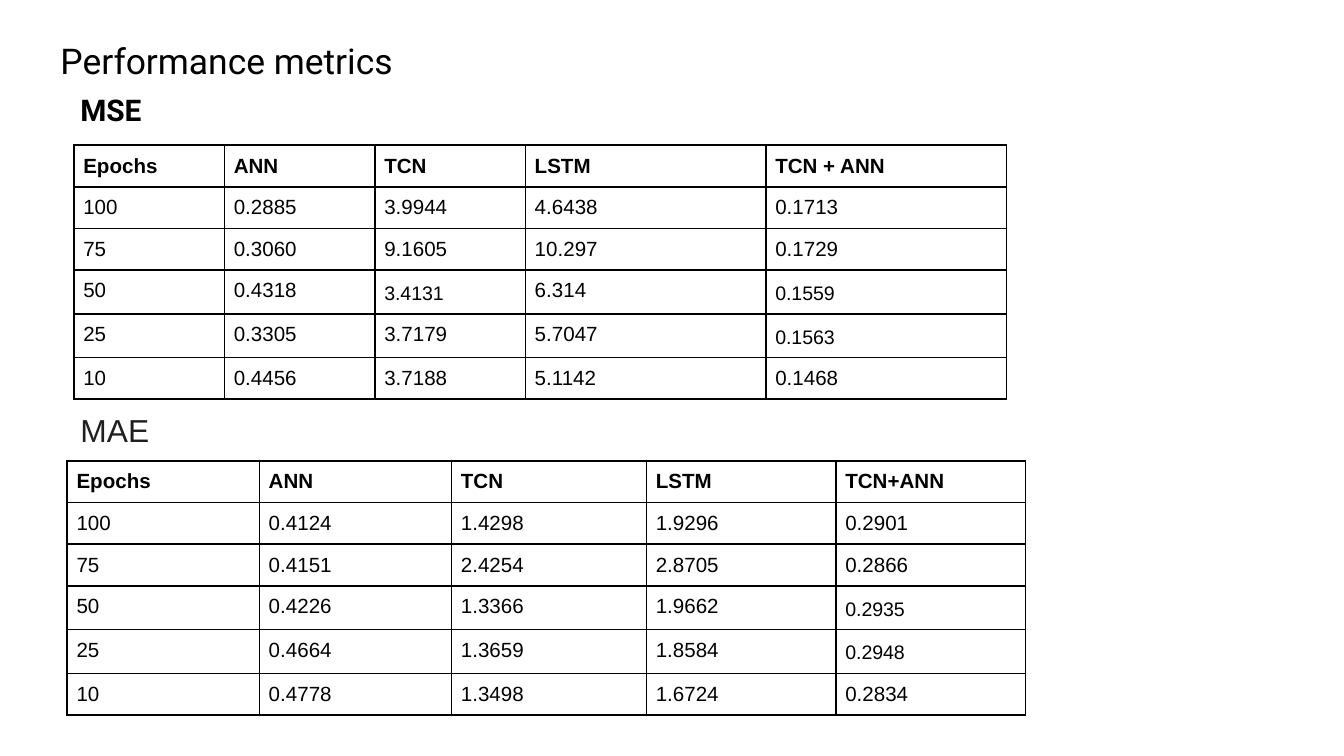
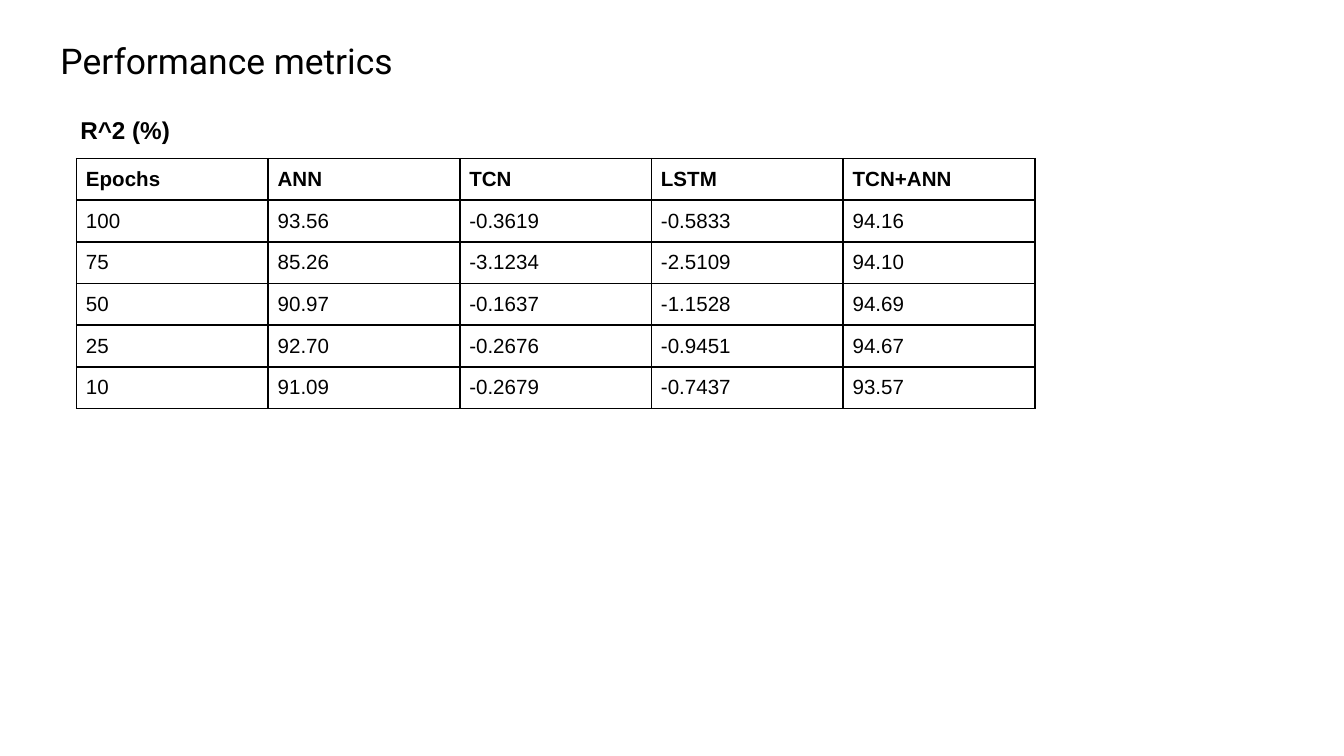
from lxml import etree
from pptx import Presentation
from pptx.dml.color import RGBColor
from pptx.enum import text
from pptx.oxml import ns
from pptx.util import Inches, Pt

BLACK = RGBColor(0x00, 0x00, 0x00)
CHARCOAL = RGBColor(0x1F, 0x1F, 0x1F)
WHITE = RGBColor(0xFF, 0xFF, 0xFF)
TITLE_FONT = "Roboto"
BODY_FONT = "Arial"
TITLE_BOX = (0.35, 0.19, 6.57, 0.64)
ROW_HEIGHTS = [0.16] + [0.23] * 5
EPOCHS = ["100", "75", "50", "25", "10"]

MSE_VALUES = {
    "ANN": ["0.2885", "0.3060", "0.4318", "0.3305", "0.4456"],
    "TCN": ["3.9944", "9.1605", "3.4131", "3.7179", "3.7188"],
    "LSTM": ["4.6438", "10.297", "6.314", "5.7047", "5.1142"],
    "TCN + ANN": ["0.1713", "0.1729", "0.1559", "0.1563", "0.1468"],
}
MAE_VALUES = {
    "ANN": ["0.4124", "0.4151", "0.4226", "0.4664", "0.4778"],
    "TCN": ["1.4298", "2.4254", "1.3366", "1.3659", "1.3498"],
    "LSTM": ["1.9296", "2.8705", "1.9662", "1.8584", "1.6724"],
    "TCN+ANN": ["0.2901", "0.2866", "0.2935", "0.2948", "0.2834"],
}
R2_VALUES = {
    "ANN": ["93.56", "85.26", "90.97", "92.70", "91.09"],
    "TCN": ["-0.3619", "-3.1234", "-0.1637", "-0.2676", "-0.2679"],
    "LSTM": ["-0.5833", "-2.5109", "-1.1528", "-0.9451", "-0.7437"],
    "TCN+ANN": ["94.16", "94.10", "94.69", "94.67", "93.57"],
}


def style_span(span, size, font, color=BLACK, bold=False):
    span.font.size = Pt(size)
    span.font.name = font
    span.font.bold = bold
    span.font.color.rgb = color


def fill_text(shape, words, size, font, color=BLACK, bold=False):
    frame = shape.text_frame
    frame.text = words
    frame.word_wrap = True
    frame.auto_size = text.MSO_AUTO_SIZE.NONE
    frame.vertical_anchor = text.MSO_ANCHOR.TOP
    frame.margin_left = frame.margin_right = Inches(0.1)
    frame.margin_top = frame.margin_bottom = Inches(0.1)
    para = frame.paragraphs[0]
    para.alignment = text.PP_ALIGN.LEFT
    style_span(para.runs[0], size, font, color, bold)


def add_page(deck, title):
    page = deck.slides.add_slide(deck.slide_layouts[5])
    box = page.shapes.title
    box.left, box.top, box.width, box.height = map(Inches, TITLE_BOX)
    fill_text(box, title, 19, TITLE_FONT)
    return page


def add_heading(page, box, words, size, font, color=BLACK, bold=True):
    shape = page.shapes.add_textbox(*map(Inches, box))
    fill_text(shape, words, size, font, color, bold)


def add_borders(cell):
    """Draw a 1 pt black line on all four sides, ahead of the cell fill."""
    properties = cell._tc.get_or_add_tcPr()
    for index, side in enumerate(("lnL", "lnR", "lnT", "lnB")):
        line = etree.Element(ns.qn(f"a:{side}"), w=str(Pt(1)))
        fill = etree.SubElement(line, ns.qn("a:solidFill"))
        etree.SubElement(fill, ns.qn("a:srgbClr"), val=str(BLACK))
        properties.insert(index, line)


def mark_pasted(para):
    """Give a value the smaller size, open spacing and white highlight."""
    para.line_spacing = 1.15
    span = para.runs[0]
    span.font.size = Pt(10.5)
    highlight = etree.Element(ns.qn("a:highlight"))
    etree.SubElement(highlight, ns.qn("a:srgbClr"), val=str(WHITE))
    span.font._element.find(ns.qn("a:solidFill")).addnext(highlight)


def fill_cell(cell, words, bold, pasted):
    cell.text = words
    cell.margin_left = cell.margin_right = Inches(0.07)
    cell.margin_top = cell.margin_bottom = Inches(0.07)
    cell.fill.background()
    add_borders(cell)
    para = cell.text_frame.paragraphs[0]
    style_span(para.runs[0], 11, BODY_FONT, bold=bold)
    if pasted:
        mark_pasted(para)


def add_metric_table(page, left, top, widths, values, pasted=()):
    """Place one metric by epoch; pasted lists the values in pasted style."""
    columns = [["Epochs", *EPOCHS]]
    columns += [[model, *scores] for model, scores in values.items()]
    frame = page.shapes.add_table(
        len(ROW_HEIGHTS), len(columns), Inches(left), Inches(top),
        Inches(sum(widths)), Inches(sum(ROW_HEIGHTS)))
    table = frame.table
    table.first_row = table.horz_banding = False
    for row, height in zip(table.rows, ROW_HEIGHTS):
        row.height = Inches(height)
    for col, (width, column) in enumerate(zip(widths, columns)):
        table.columns[col].width = Inches(width)
        for row, words in enumerate(column):
            fill_cell(table.cell(row, col), words, row == 0, words in pasted)


def add_error_page(deck):
    page = add_page(deck, "Performance metrics")
    add_heading(page, (0.5, 0.58, 6.57, 0.64), "MSE", 16, TITLE_FONT)
    add_metric_table(page, 0.55, 1.08, [1.12] * 3 + [1.79] * 2, MSE_VALUES,
                     ("3.4131", "0.1559", "0.1563"))
    add_metric_table(page, 0.5, 3.43, [1.43, 1.43, 1.45, 1.41, 1.41],
                     MAE_VALUES, ("0.2935", "0.2948"))
    add_heading(page, (0.5, 2.96, 4.88, 0.3), "MAE", 17, BODY_FONT,
                CHARCOAL, bold=False)


def add_fit_page(deck):
    page = add_page(deck, "Performance metrics")
    add_heading(page, (0.5, 0.76, 6.57, 0.64), "R^2 (%)", 13, BODY_FONT)
    add_metric_table(page, 0.57, 1.18, [7.13 / 5] * 5, R2_VALUES)


def main():
    deck = Presentation()
    deck.slide_width = Inches(10)
    deck.slide_height = deck.slide_width * 9 // 16
    add_error_page(deck)
    add_fit_page(deck)
    deck.save("out.pptx")


if __name__ == "__main__":
    main()
